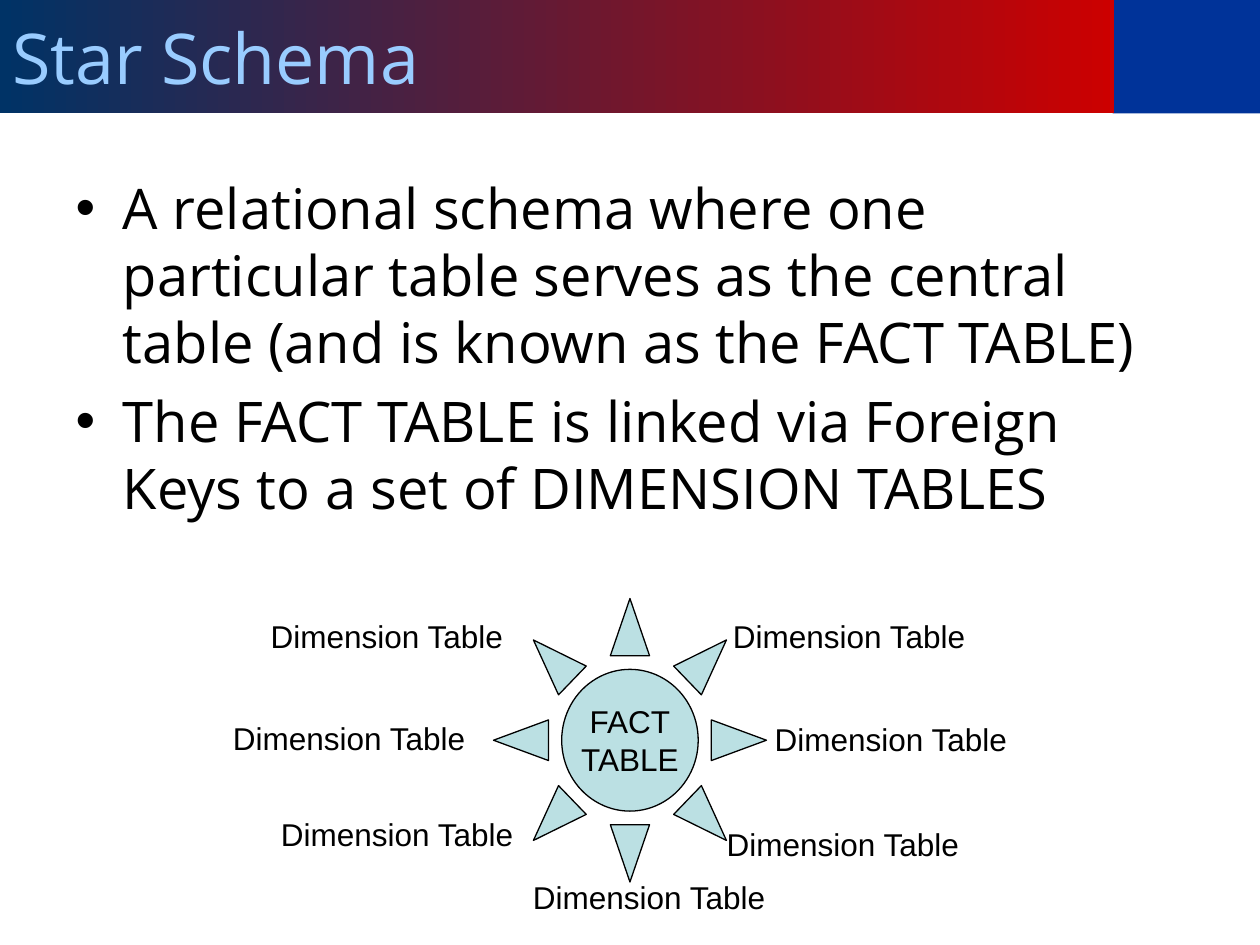
from pptx import Presentation
from pptx.dml.color import RGBColor
from pptx.enum.shapes import MSO_SHAPE
from pptx.enum.text import MSO_ANCHOR, MSO_AUTO_SIZE, PP_ALIGN
from pptx.util import Pt

# Content
TITLE = "Star Schema"
POINTS = [
    "A relational schema where one particular table serves as the central "
    "table (and is known as the FACT TABLE)",
    "The FACT TABLE is linked via Foreign Keys to a set of DIMENSION TABLES",
]
FACT = ["FACT", "TABLE"]
LABEL = "Dimension Table"
SPOTS = [(435.6, 408.2), (411.8, 349.2), (408.2, 468), (297.4, 498.2),
         (153.4, 462.2), (126, 407.5), (147.6, 349.2)]

# Look
NAVY = RGBColor(0x00, 0x33, 0x66)
RED = RGBColor(0xCC, 0x00, 0x00)
BLUE = RGBColor(0x00, 0x33, 0x99)
SKY = RGBColor(0x99, 0xCC, 0xFF)
AQUA = RGBColor(0xBB, 0xE0, 0xE3)
BLACK = RGBColor(0x00, 0x00, 0x00)
HEAD, PLAIN = "Open Sans", "Arial"


def place(shape, left, top, width, height):
    shape.left, shape.top = Pt(left), Pt(top)
    shape.width, shape.height = Pt(width), Pt(height)


def write(frame, lines, font, size, color, align=PP_ALIGN.LEFT):
    """Fill a text frame, one paragraph per line."""
    for i, line in enumerate(lines):
        para = frame.add_paragraph() if i else frame.paragraphs[0]
        para.alignment = align
        run = para.add_run()
        run.text = line
        run.font.name, run.font.size = font, Pt(size)
        run.font.color.rgb = color


deck = Presentation()
deck.slide_width, deck.slide_height = Pt(720), Pt(540)
slide = deck.slides.add_slide(deck.slide_layouts[1])
shapes = slide.shapes
title, body = shapes.title, slide.placeholders[1]

# Blue corner, behind the title bar
corner = shapes.add_shape(MSO_SHAPE.RECTANGLE, Pt(635.8), Pt(0), Pt(84.2), Pt(64.8))
corner.shadow.inherit = False
corner.fill.solid()
corner.fill.fore_color.rgb = BLUE
corner.line.fill.background()
title._element.addprevious(corner._element)

# Title bar
place(title, 0, 0, 636.5, 64.8)
title.fill.gradient()
title.fill.gradient_angle = 0
for stop, color in zip(title.fill.gradient_stops, (NAVY, RED)):
    stop.color.rgb = color
title.text_frame.auto_size = MSO_AUTO_SIZE.NONE
title.text_frame.vertical_anchor = MSO_ANCHOR.MIDDLE
write(title.text_frame, [TITLE], HEAD, 40, SKY)

# Bullet list
place(body, 36, 95.8, 648, 386.6)
body.text_frame.auto_size = MSO_AUTO_SIZE.NONE
write(body.text_frame, POINTS, HEAD, 32, BLACK)
for para in body.text_frame.paragraphs:
    para.space_before, para.line_spacing = Pt(6.4), Pt(38.3)

# Fact table
sun = shapes.add_shape(MSO_SHAPE.SUN, Pt(282), Pt(342), Pt(156), Pt(162))
sun.shadow.inherit = False
sun.fill.solid()
sun.fill.fore_color.rgb = AQUA
sun.line.color.rgb, sun.line.width = BLACK, Pt(0.75)
sun.text_frame.word_wrap = False
sun.text_frame.vertical_anchor = MSO_ANCHOR.MIDDLE
write(sun.text_frame, FACT, PLAIN, 18, BLACK, PP_ALIGN.CENTER)

# Dimension tables
for left, top in SPOTS:
    frame = shapes.add_textbox(Pt(left), Pt(top), Pt(158.4), Pt(28.8)).text_frame
    frame.word_wrap = False
    frame.auto_size = MSO_AUTO_SIZE.SHAPE_TO_FIT_TEXT
    write(frame, [LABEL], PLAIN, 18, BLACK)

deck.save("out.pptx")
